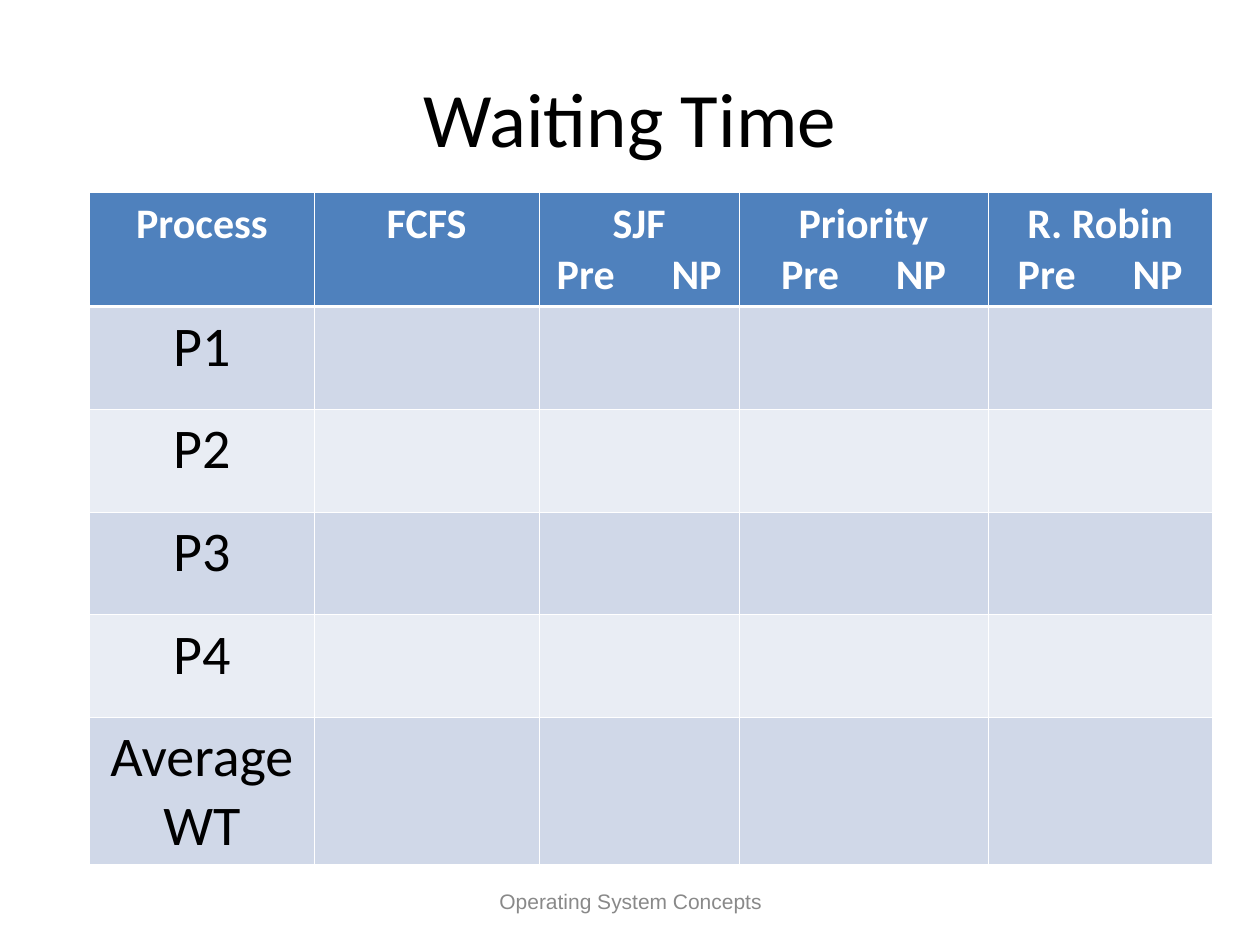
"""Build the waiting time comparison slide."""
from lxml import etree
from pptx import Presentation
from pptx import util as u
from pptx.dml.color import RGBColor
from pptx.enum import text
from pptx.oxml import ns

TITLE = ("Waiting Time", (1.27, 0.76, 22.86, 3.18), "Calibri", 44, "000000")
FOOTER = ("Operating System Concepts", (8.69, 17.65, 8.05, 1.02), "Arial", 12, "898989")
PAIR = "Pre NP"
HEADERS = ["Process", "FCFS"] + [f"{name}\n{PAIR}" for name in ("SJF", "Priority", "R. Robin")]
PROCESSES = ["P1", "P2", "P3", "P4", "Average WT"]
COLUMN_WIDTHS = [4.52, 4.54, 4.03, 5.02, 4.52]
ROW_HEIGHTS = [2.3, 2.07, 2.07, 2.07, 2.07, 2.97]
TABLE_LEFT, TABLE_TOP = 1.81, 3.88
HEADER_FILL, BAND_FILLS = "4F81BD", ["D0D8E8", "E9EDF4"]
PAIR_GAP = 27.1
THIN, THICK = 0.45, 1.47


def color(value):
    return RGBColor.from_string(value)


def format_paragraph(paragraph, font_name, size, value, bold=False):
    paragraph.alignment = text.PP_ALIGN.CENTER
    for run in paragraph.runs:
        run.font.name = font_name
        run.font.size = u.Pt(size)
        run.font.bold = bold
        run.font.color.rgb = color(value)


def add_label(slide, words, box, font_name, size, value):
    shape = slide.shapes.add_textbox(*map(u.Cm, box))
    frame = shape.text_frame
    frame.word_wrap = True
    frame.vertical_anchor = text.MSO_ANCHOR.MIDDLE
    frame.text = words
    format_paragraph(frame.paragraphs[0], font_name, size, value)


def set_borders(cell, top, bottom):
    properties = cell._tc.get_or_add_tcPr()
    for tag, width in (("lnL", THIN), ("lnR", THIN), ("lnT", top), ("lnB", bottom)):
        line = etree.SubElement(properties, ns.qn(f"a:{tag}"), w=str(u.Pt(width)))
        fill = etree.SubElement(line, ns.qn("a:solidFill"))
        etree.SubElement(fill, ns.qn("a:srgbClr"), val="FFFFFF")


def spread_pair(paragraph):
    first, gap, second = PAIR.partition(" ")
    paragraph.text = first
    for words in (gap, second):
        paragraph.add_run().text = words
    paragraph.runs[1]._r.get_or_add_rPr().set("spc", str(round(PAIR_GAP * 100)))


def fill_cell(cell, words, row):
    header = row == 0
    set_borders(cell, THICK if row == 1 else THIN, THICK if header else THIN)
    cell.fill.solid()
    cell.fill.fore_color.rgb = color(HEADER_FILL if header else BAND_FILLS[(row - 1) % 2])
    cell.text_frame.text = words
    for paragraph in cell.text_frame.paragraphs:
        if paragraph.text == PAIR:
            spread_pair(paragraph)
        if header:
            format_paragraph(paragraph, "Calibri", 24, "FFFFFF", True)
        else:
            format_paragraph(paragraph, "Calibri", 32, "000000")


def add_waiting_table(slide):
    rows = [HEADERS] + [[name] + [""] * (len(HEADERS) - 1) for name in PROCESSES]
    box = (TABLE_LEFT, TABLE_TOP, sum(COLUMN_WIDTHS), sum(ROW_HEIGHTS))
    table = slide.shapes.add_table(len(rows), len(HEADERS), *map(u.Cm, box)).table
    for column, width in zip(table.columns, COLUMN_WIDTHS):
        column.width = u.Cm(width)
    for row, height in zip(table.rows, ROW_HEIGHTS):
        row.height = u.Cm(height)
    for row, entries in enumerate(rows):
        for column, words in enumerate(entries):
            fill_cell(table.cell(row, column), words, row)


def main():
    presentation = Presentation()
    presentation.slide_width, presentation.slide_height = u.Cm(25.4), u.Cm(19.05)
    slide = presentation.slides.add_slide(presentation.slide_layouts[6])
    add_label(slide, *TITLE)
    add_label(slide, *FOOTER)
    add_waiting_table(slide)
    presentation.save("out.pptx")


if __name__ == "__main__":
    main()
